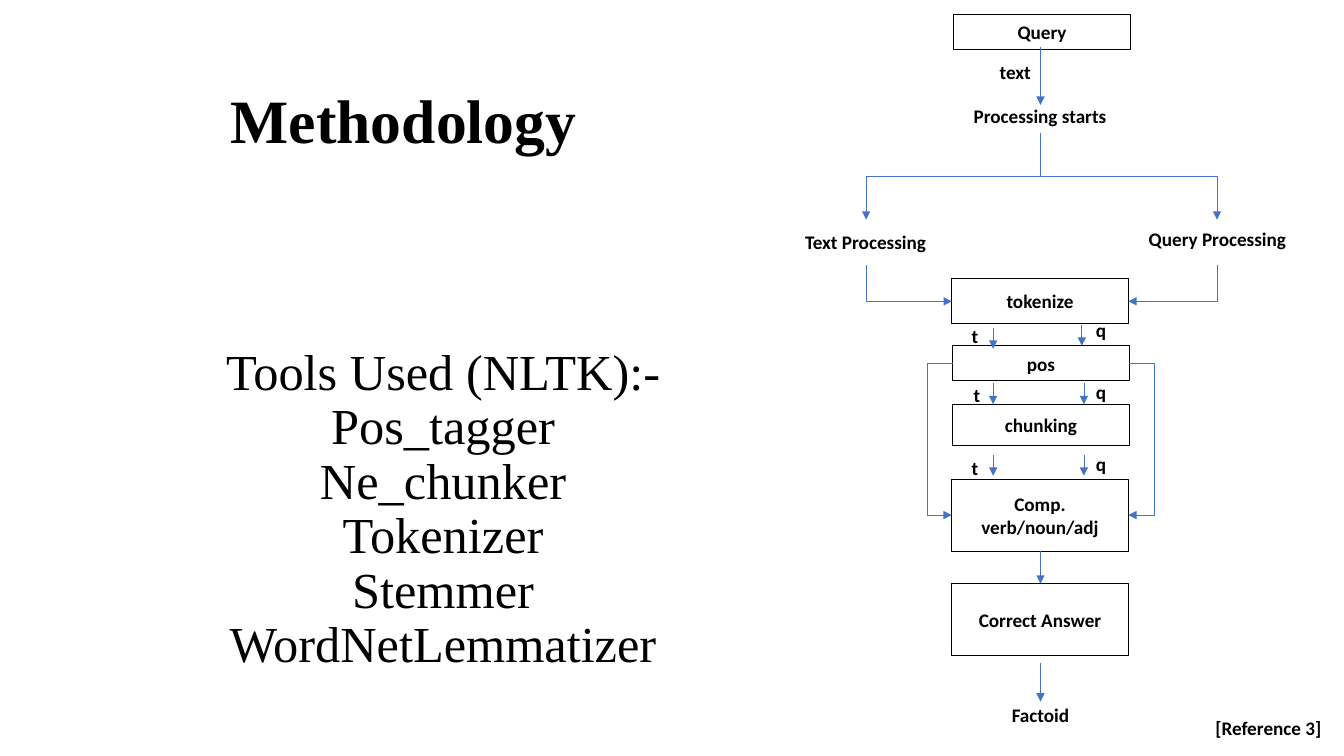
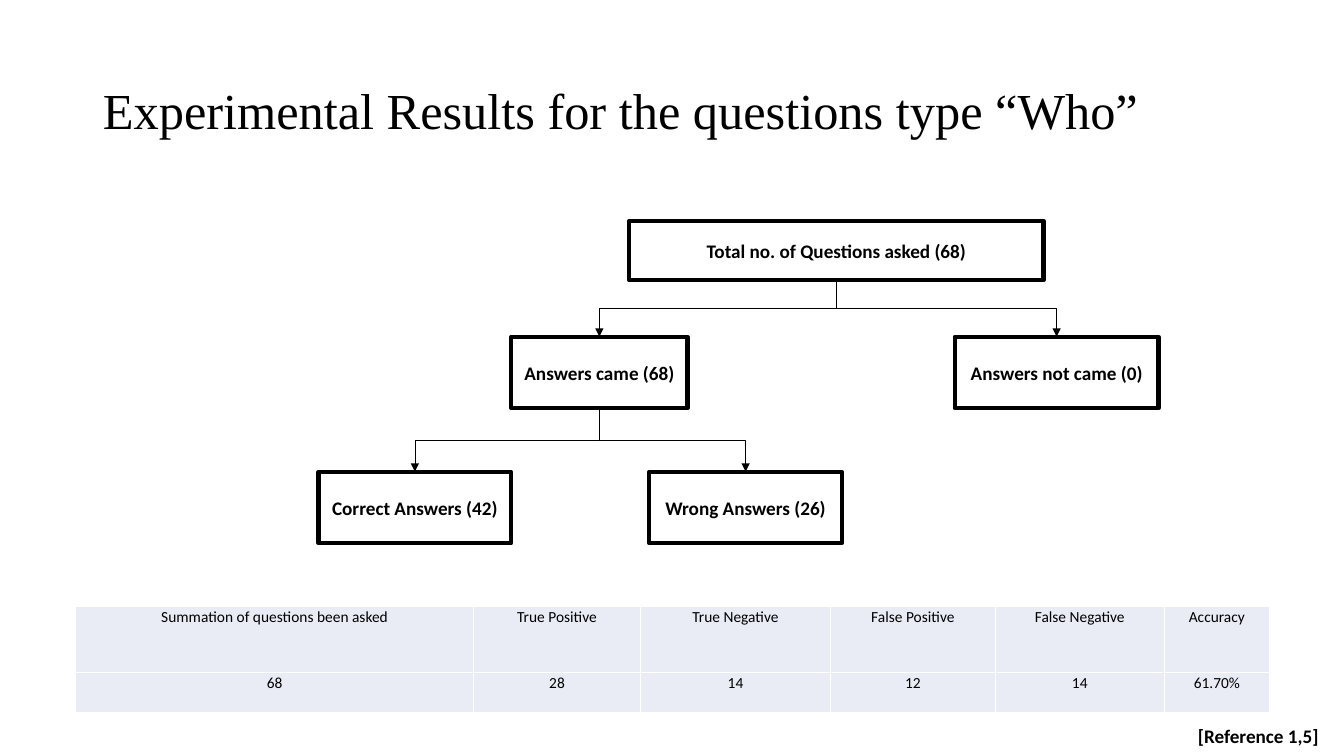
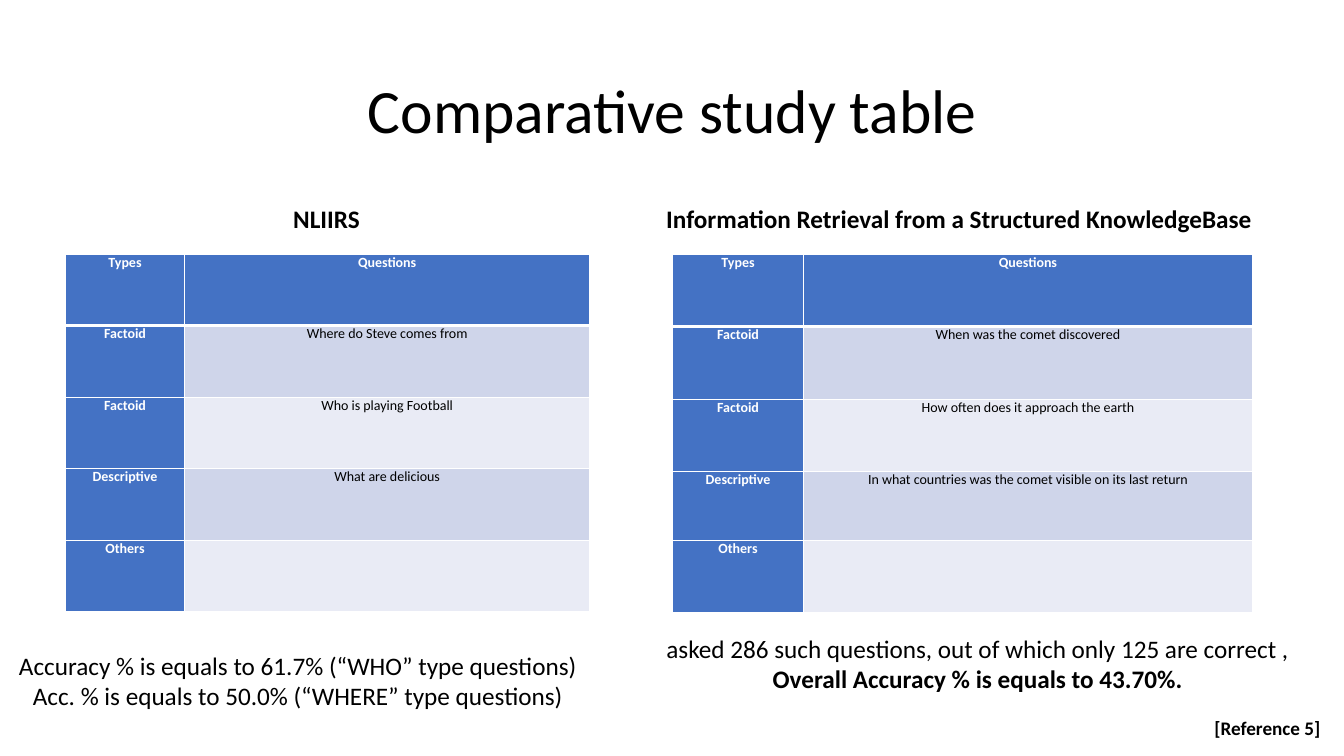
"""Build three slides on a question answering system: method, results and comparison."""
from typing import NamedTuple

from lxml.etree import SubElement
from pptx import Presentation
from pptx.dml.color import RGBColor
from pptx.enum.shapes import MSO_CONNECTOR, MSO_SHAPE
from pptx.enum.text import MSO_ANCHOR, MSO_AUTO_SIZE, PP_ALIGN
from pptx.oxml.ns import qn
from pptx.util import Inches, Pt

COLORS = {
    "ink": "000000",
    "white": "FFFFFF",
    "accent": "4472C4",
    "band_dark": "CFD5EA",
    "band_light": "E9EBF5",
}
SANS, SERIF = "Calibri", "Times New Roman"
LABEL_SIZE = 13.7
AXIS = 10.32
TEXT_LANE, QUERY_LANE = 8.59, 12.07


class Area(NamedTuple):
    left: float
    top: float
    width: float
    height: float


class Label(NamedTuple):
    text: str
    area: Area


class Route(NamedTuple):
    x1: float
    y1: float
    x2: float
    y2: float


class Study(NamedTuple):
    left: float
    columns: list[float]
    rows: list[float]
    questions: list[str]


TITLE_AREA = Area(0.92, 0.4, 11.5, 1.45)


def rgb(name: str) -> RGBColor:
    return RGBColor.from_string(COLORS[name])


def write(frame, text: str, *, size: float = LABEL_SIZE, font: str = SANS, color: str = "ink",
          bold: bool = False, align=PP_ALIGN.CENTER, anchor=MSO_ANCHOR.MIDDLE,
          spacing: float = 1.0, wrap: bool = True, bold_last: bool = False) -> None:
    frame.word_wrap = wrap
    frame.vertical_anchor = anchor
    lines = text.split("\n")
    for index, line in enumerate(lines):
        paragraph = frame.paragraphs[0] if index == 0 else frame.add_paragraph()
        paragraph.alignment = align
        paragraph.line_spacing = spacing
        run = paragraph.add_run()
        run.text = line
        run.font.size = Pt(size)
        run.font.name = font
        run.font.bold = bold or (bold_last and index == len(lines) - 1)
        run.font.color.rgb = rgb(color)


def add_text(slide, label: Label, **style) -> None:
    box = slide.shapes.add_textbox(*map(Inches, label.area))
    write(box.text_frame, label.text, **style)


def add_box(slide, label: Label, line_width: float) -> None:
    box = slide.shapes.add_shape(MSO_SHAPE.RECTANGLE, *map(Inches, label.area))
    box.shadow.inherit = False
    box.fill.background()
    box.line.color.rgb = rgb("ink")
    box.line.width = Pt(line_width)
    write(box.text_frame, label.text, bold=True)


def add_titled_slide(deck, text: str, area: Area = TITLE_AREA, **style):
    slide = deck.slides.add_slide(deck.slide_layouts[5])
    title = slide.shapes.title
    title.left, title.top, title.width, title.height = map(Inches, area)
    title.text_frame.auto_size = MSO_AUTO_SIZE.NONE
    write(title.text_frame, text, spacing=0.9, **style)
    return slide


def add_arrow(slide, route: Route, color: str, kind=MSO_CONNECTOR.STRAIGHT):
    arrow = slide.shapes.add_connector(kind, *map(Inches, route))
    arrow.line.color.rgb = rgb(color)
    arrow.line.width = Pt(0.5)
    properties = arrow.element.spPr
    SubElement(properties.find(qn("a:ln")), qn("a:tailEnd"), type="triangle")
    SubElement(properties, qn("a:effectLst"))
    return arrow


def add_drop(slide, route: Route, color: str, single_bend: bool = False) -> None:
    """Draw an elbow arrow that leaves downward, as a quarter-turned connector."""
    center_x, center_y = (route.x1 + route.x2) / 2, (route.y1 + route.y2) / 2
    leftward = route.x2 < route.x1
    reach = (route.y2 - route.y1) / 2 * (1 if leftward else -1)
    half = abs(route.x2 - route.x1) / 2
    turned = Route(center_x - reach, center_y - half, center_x + reach, center_y + half)
    arrow = add_arrow(slide, turned, color, MSO_CONNECTOR.ELBOW)
    properties = arrow.element.spPr
    properties.find(qn("a:xfrm")).set("rot", str((90 if leftward else 270) * 60000))
    if single_bend:
        properties.find(qn("a:prstGeom")).set("prst", "bentConnector2")


def add_bypass(slide, route: Route, via_x: float, color: str) -> None:
    """Draw an elbow arrow whose vertical part lies at via_x."""
    arrow = add_arrow(slide, route, color, MSO_CONNECTOR.ELBOW)
    geometry = arrow.element.spPr.find(qn("a:prstGeom"))
    guides = geometry.find(qn("a:avLst"))
    if guides is None:
        guides = SubElement(geometry, qn("a:avLst"))
    ratio = (via_x - route.x1) / (route.x2 - route.x1)
    SubElement(guides, qn("a:gd"), name="adj1", fmla=f"val {round(ratio * 100000)}")


def add_grid(slide, left: float, top: float, columns: list[float], rows: list[float]):
    area = Area(left, top, sum(columns), sum(rows))
    grid = slide.shapes.add_table(len(rows), len(columns), *map(Inches, area)).table
    grid.first_row = grid.horz_banding = False
    for column, width in zip(grid.columns, columns):
        column.width = Inches(width)
    for row, height in zip(grid.rows, rows):
        row.height = Inches(height)
    return grid


def fill_cell(cell, text: str, fill: str, margins: tuple[float, float, float, float],
              top: float = 1, bottom: float = 1, **style) -> None:
    properties = cell._tc.get_or_add_tcPr()
    for side, width in (("L", 1), ("R", 1), ("T", top), ("B", bottom)):
        border = SubElement(properties, qn(f"a:ln{side}"), w=str(Pt(width)))
        paint = SubElement(border, qn("a:solidFill"))
        SubElement(paint, qn("a:srgbClr"), val=COLORS["white"])
    cell.fill.solid()
    cell.fill.fore_color.rgb = rgb(fill)
    cell.margin_left, cell.margin_top, cell.margin_right, cell.margin_bottom = map(Inches, margins)
    if text:
        write(cell.text_frame, text, **style)


def add_reference(slide, sources: str, area: Area) -> None:
    add_text(slide, Label(f"[Reference {sources}]", area), bold=True)


def build_methodology(deck) -> None:
    slide = add_titled_slide(deck, "Methodology", Area(1.65, 0.66, 4.71, 1.13),
                             size=44, font=SERIF, bold=True)
    tools = "Tools Used (NLTK):-\nPos_tagger\nNe_chunker\nTokenizer\nStemmer\nWordNetLemmatizer"
    add_text(slide, Label(tools, Area(1.65, 3.04, 5.49, 4.04)), size=36, font=SERIF, spacing=0.9)

    steps = [
        Label("Query", Area(9.46, 0.14, 1.75, 0.35)),
        Label("tokenize", Area(9.44, 2.76, 1.75, 0.45)),
        Label("pos", Area(9.45, 3.43, 1.75, 0.35)),
        Label("chunking", Area(9.45, 4.01, 1.75, 0.41)),
        Label("Comp. verb/noun/adj", Area(9.44, 4.76, 1.75, 0.71)),
        Label("Correct Answer", Area(9.44, 5.79, 1.75, 0.71)),
    ]
    for step in steps:
        add_box(slide, step, 0.75)

    captions = [
        Label("text", Area(9.8, 0.51, 0.54, 0.4)),
        Label("Processing starts", Area(9.44, 0.92, 1.75, 0.45)),
        Label("Text Processing", Area(7.71, 2.17, 1.75, 0.45)),
        Label("Query Processing", Area(11.2, 2.1, 1.75, 0.53)),
        Label("Factoid", Area(9.79, 6.74, 1.06, 0.71)),
    ]
    for t_left, t_top, q_top in ((9.3, 3.07, 3.01), (9.32, 3.66, 3.63), (9.3, 4.38, 4.34)):
        captions.append(Label("t", Area(t_left, t_top, 0.74, 0.52)))
        captions.append(Label("q", Area(10.55, q_top, 0.74, 0.52)))
    for caption in captions:
        add_text(slide, caption, bold=True)

    for start, end in ((0.47, 1.04), (5.47, 5.79), (6.58, 6.96)):
        add_arrow(slide, Route(AXIS, start, AXIS, end), "accent")
    for x, y in ((9.85, 3.25), (10.73, 3.22), (9.85, 3.8), (10.75, 3.8), (9.85, 4.51), (10.75, 4.51)):
        add_arrow(slide, Route(x, y, x, y + 0.21), "accent")
    for lane, tokenize_edge in ((TEXT_LANE, 9.44), (QUERY_LANE, 11.19)):
        add_drop(slide, Route(AXIS, 1.32, lane, 2.18), "accent")
        add_drop(slide, Route(lane, 2.63, tokenize_edge, 2.99), "accent", single_bend=True)
    for pos_edge, via_x in ((9.45, 9.19), (11.2, 11.45)):
        add_bypass(slide, Route(pos_edge, 3.61, pos_edge - 0.01, 5.11), via_x, "accent")
    add_reference(slide, "3", Area(11.86, 7, 1.44, 0.45))


def build_results(deck) -> None:
    slide = add_titled_slide(deck, "Experimental Results for the questions type “Who”",
                             size=36, font=SERIF, align=PP_ALIGN.LEFT)
    outcomes = [
        Label("Total no. of Questions asked (68)", Area(6.24, 2.19, 4.11, 0.59)),
        Label("Answers came (68)", Area(5.07, 3.34, 1.75, 0.71)),
        Label("Answers not came (0)", Area(9.47, 3.34, 2.02, 0.71)),
        Label("Correct Answers (42)", Area(3.16, 4.68, 1.91, 0.71)),
        Label("Wrong Answers (26)", Area(6.44, 4.68, 1.91, 0.71)),
    ]
    for outcome in outcomes:
        add_box(slide, outcome, 3)
    for parent, child in ((0, 1), (0, 2), (1, 3), (1, 4)):
        upper, lower = outcomes[parent].area, outcomes[child].area
        add_drop(slide, Route(upper.left + upper.width / 2, upper.top + upper.height,
                              lower.left + lower.width / 2, lower.top), "ink")

    scores = {
        "Summation of questions been asked": "68",
        "True Positive": "28",
        "True Negative": "14",
        "False Positive": "12",
        "False Negative": "14",
        "Accuracy": "61.70%",
    }
    grid = add_grid(slide, 0.75, 6.02, [3.95, 1.65, 1.89, 1.63, 1.68, 1.04], [0.65, 0.4])
    for column, score in enumerate(scores.items()):
        for row, anchor in enumerate((MSO_ANCHOR.MIDDLE, MSO_ANCHOR.BOTTOM)):
            fill_cell(grid.cell(row, column), score[row], "band_light",
                      (0.01, 0.01, 0.01, 0), size=11, anchor=anchor)
    add_reference(slide, "1,5", Area(11.75, 7.1, 1.46, 0.39))


def add_study(slide, study: Study) -> None:
    grid = add_grid(slide, study.left, 2.52, study.columns, study.rows)
    kinds = ["Types", "Factoid", "Factoid", "Descriptive", "Others"]
    for row, entry in enumerate(zip(kinds, ["Questions", *study.questions])):
        for column, text in enumerate(entry):
            heading = row == 0 or column == 0
            band = "band_dark" if row % 2 else "band_light"
            fill_cell(grid.cell(row, column), text, "accent" if heading else band,
                      (0.07, 0, 0.07, 0), top=3 if row == 1 else 1, bottom=3 if row == 0 else 1,
                      size=10, bold=heading, color="white" if heading else "ink",
                      anchor=MSO_ANCHOR.TOP)


def build_comparison(deck) -> None:
    slide = add_titled_slide(deck, "Comparative study table", size=44)
    studies = [
        Study(0.65, [1.18, 4.02], [0.71] * 5,
              ["Where do Steve comes from", "Who is playing Football", "What are delicious", ""]),
        Study(6.67, [1.3, 4.45], [0.72, 0.72, 0.72, 0.68, 0.72],
              ["When was the comet discovered", "How often does it approach the earth",
               "In what countries was the comet visible on its last return", ""]),
    ]
    for study in studies:
        add_study(slide, study)
    headings = [
        Label("NLIIRS", Area(2.81, 1.97, 0.87, 0.4)),
        Label("Information Retrieval from a Structured KnowledgeBase", Area(6.51, 1.97, 6.06, 0.4)),
    ]
    for heading in headings:
        add_text(slide, heading, size=18, bold=True, wrap=False,
                 align=PP_ALIGN.LEFT, anchor=MSO_ANCHOR.TOP)
    own_accuracy = ("Accuracy % is equals to 61.7% (“WHO” type questions)\n"
                    "Acc. % is equals to 50.0% (“WHERE” type questions)")
    other_accuracy = ("asked 286 such questions, out of which only 125 are correct , \n"
                      "Overall Accuracy % is equals to 43.70%. ")
    add_text(slide, Label(own_accuracy, Area(0.07, 6.4, 5.77, 0.71)),
             size=18, wrap=False, anchor=MSO_ANCHOR.TOP)
    add_text(slide, Label(other_accuracy, Area(6.47, 6.23, 6.51, 0.71)),
             size=18, wrap=False, anchor=MSO_ANCHOR.TOP, bold_last=True)
    add_reference(slide, "5", Area(11.85, 7, 1.44, 0.45))


def main() -> None:
    deck = Presentation()
    deck.slide_width, deck.slide_height = Inches(13.33), Inches(7.5)
    for build in (build_methodology, build_results, build_comparison):
        build(deck)
    deck.save("out.pptx")


if __name__ == "__main__":
    main()
